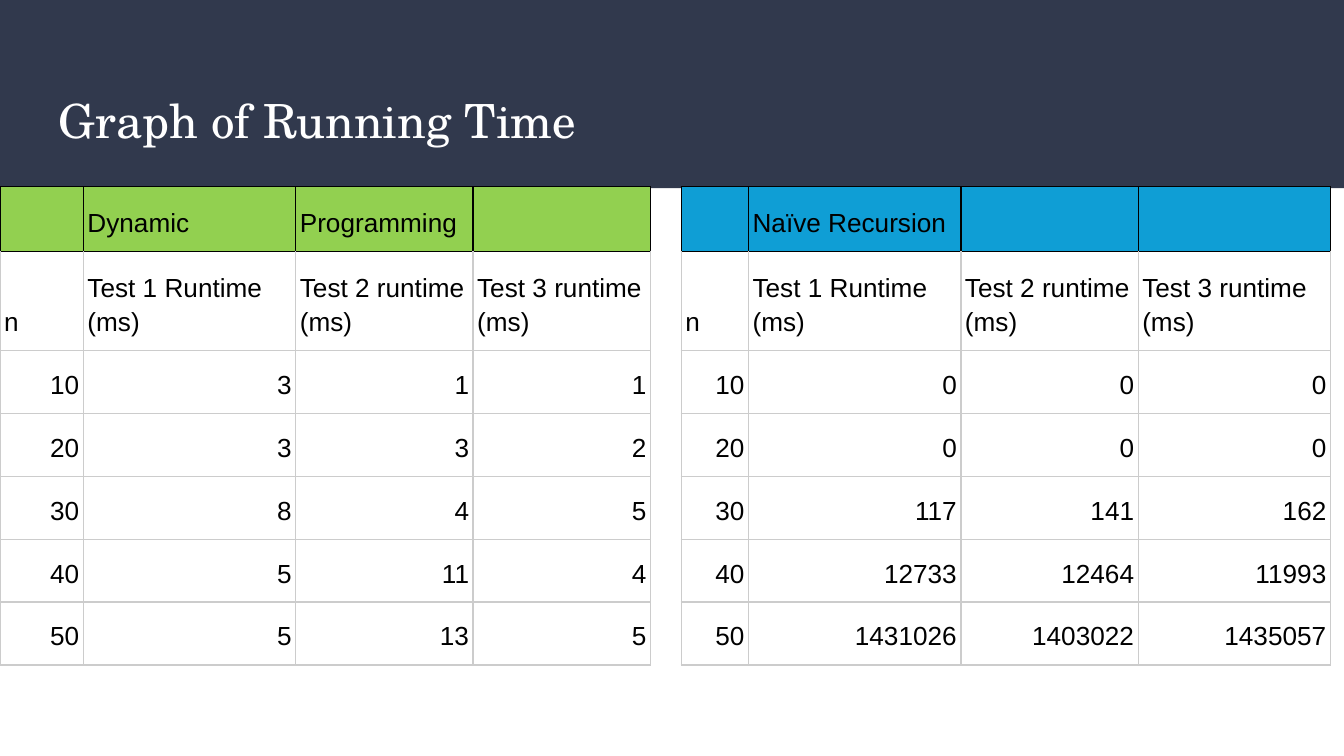
from lxml import etree
from pptx import Presentation
from pptx.dml.color import RGBColor
from pptx.enum.shapes import MSO_SHAPE
from pptx.enum.text import MSO_ANCHOR, PP_ALIGN
from pptx.oxml.ns import qn
from pptx.util import Pt

RECTANGLE = MSO_SHAPE.RECTANGLE
MIDDLE, BOTTOM = MSO_ANCHOR.MIDDLE, MSO_ANCHOR.BOTTOM
LEFT, RIGHT = PP_ALIGN.LEFT, PP_ALIGN.RIGHT

NAVY = RGBColor(0x31, 0x39, 0x4D)
WHITE = RGBColor(0xFF, 0xFF, 0xFF)
BLACK = RGBColor(0x00, 0x00, 0x00)
GREY = RGBColor(0xCC, 0xCC, 0xCC)
BLUE = RGBColor(0x0F, 0x9E, 0xD5)
GREEN = RGBColor(0x92, 0xD0, 0x50)

TITLE = "Graph of Running Time"
LABELS = ["n", "Test 1 Runtime (ms)", "Test 2 runtime (ms)", "Test 3 runtime (ms)"]
TABLES = [
    {
        "left": 365,
        "color": BLUE,
        "columns": [36, 113.8, 95, 103],
        "header": ["", "Naïve Recursion", "", ""],
        "times": {
            10: [0, 0, 0],
            20: [0, 0, 0],
            30: [117, 141, 162],
            40: [12733, 12464, 11993],
            50: [1431026, 1403022, 1435057],
        },
    },
    {
        "left": 0,
        "color": GREEN,
        "columns": [44.7, 113.8, 95, 95],
        "header": ["", "Dynamic", "Programming", ""],
        "times": {
            10: [3, 1, 1],
            20: [3, 3, 2],
            30: [8, 4, 5],
            40: [5, 11, 4],
            50: [5, 13, 5],
        },
    },
]
TABLE_TOP = 100
HEADER_HEIGHT, LABEL_HEIGHT, TIME_HEIGHT = 34.6, 50.8, 32.4


def add_span(para, text, font, size, color):
    span = para.add_run()
    span.text = text
    span.font.name = font
    span.font.size = Pt(size)
    span.font.color.rgb = color


def set_borders(cell, sides):
    properties = cell._tc.get_or_add_tcPr()
    for side in ("L", "R", "T", "B"):
        line = etree.SubElement(properties, qn(f"a:ln{side}"), w=str(Pt(0.75)))
        fill = etree.SubElement(line, qn("a:solidFill"))
        etree.SubElement(fill, qn("a:srgbClr"), val=str(sides[side]))


def fill_cell(cell, value, row, color):
    sides = dict.fromkeys("LRTB", BLACK if row == 0 else GREY)
    if row == 1:
        sides["T"] = BLACK
    set_borders(cell, sides)
    if row == 0:
        cell.fill.solid()
        cell.fill.fore_color.rgb = color
    else:
        cell.fill.background()
    cell.vertical_anchor = BOTTOM
    cell.margin_left = cell.margin_right = Pt(2.2)
    cell.margin_top = cell.margin_bottom = Pt(7.2 if value != "" else 2.2)
    if value != "":
        para = cell.text_frame.paragraphs[0]
        para.alignment = RIGHT if row > 1 else LEFT
        para.line_spacing = 1.15
        add_span(para, str(value), "Arial", 14, BLACK)


def add_runtime_table(page, data):
    rows = [data["header"], LABELS]
    rows += [[n, *times] for n, times in data["times"].items()]
    heights = [HEADER_HEIGHT, LABEL_HEIGHT] + [TIME_HEIGHT] * len(data["times"])
    widths = data["columns"]
    frame = page.shapes.add_table(
        len(rows), len(widths), Pt(data["left"]), Pt(TABLE_TOP), Pt(sum(widths)), Pt(sum(heights))
    )
    table = frame.table
    table.first_row = table.horz_banding = False
    for column, width in zip(table.columns, widths):
        column.width = Pt(width)
    for table_row, height in zip(table.rows, heights):
        table_row.height = Pt(height)
    for row, values in enumerate(rows):
        for column, value in enumerate(values):
            fill_cell(table.cell(row, column), value, row, data["color"])


def main():
    deck = Presentation()
    deck.slide_width, deck.slide_height = Pt(720), Pt(405)
    page = deck.slides.add_slide(deck.slide_layouts[6])

    banner = page.shapes.add_shape(RECTANGLE, 0, 0, deck.slide_width, Pt(100.8))
    banner.shadow.inherit = False
    banner.fill.solid()
    banner.fill.fore_color.rgb = NAVY
    banner.line.fill.background()

    title = page.shapes.add_textbox(Pt(24.5), Pt(39.6), Pt(671), Pt(49)).text_frame
    title.word_wrap = True
    title.vertical_anchor = MIDDLE
    title.margin_left = title.margin_right = Pt(7.2)
    title.margin_top = title.margin_bottom = Pt(7.2)
    add_span(title.paragraphs[0], TITLE, "TeX Gyre Schola", 25.2, WHITE)

    for data in TABLES:
        add_runtime_table(page, data)
    deck.save("out.pptx")


if __name__ == "__main__":
    main()
